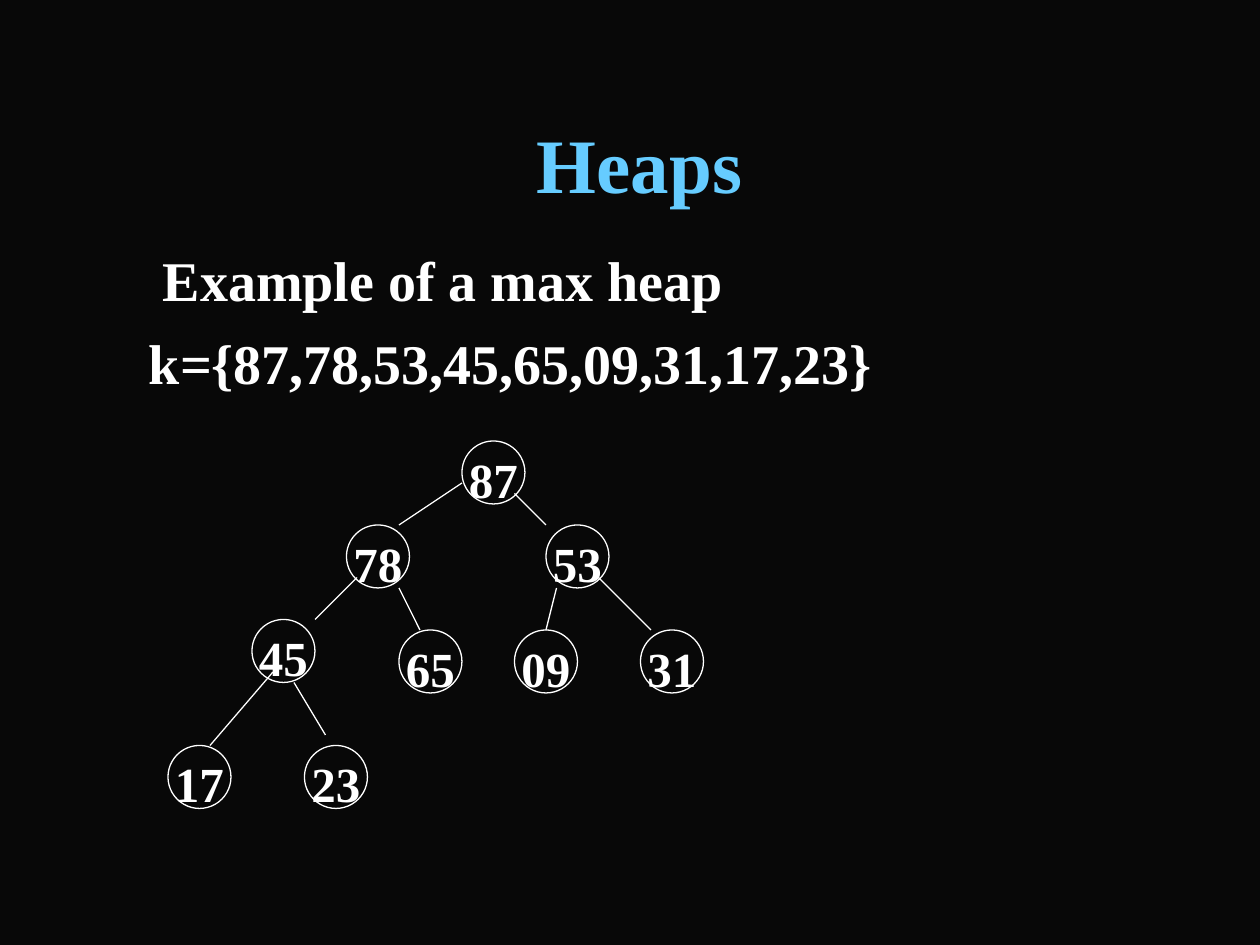
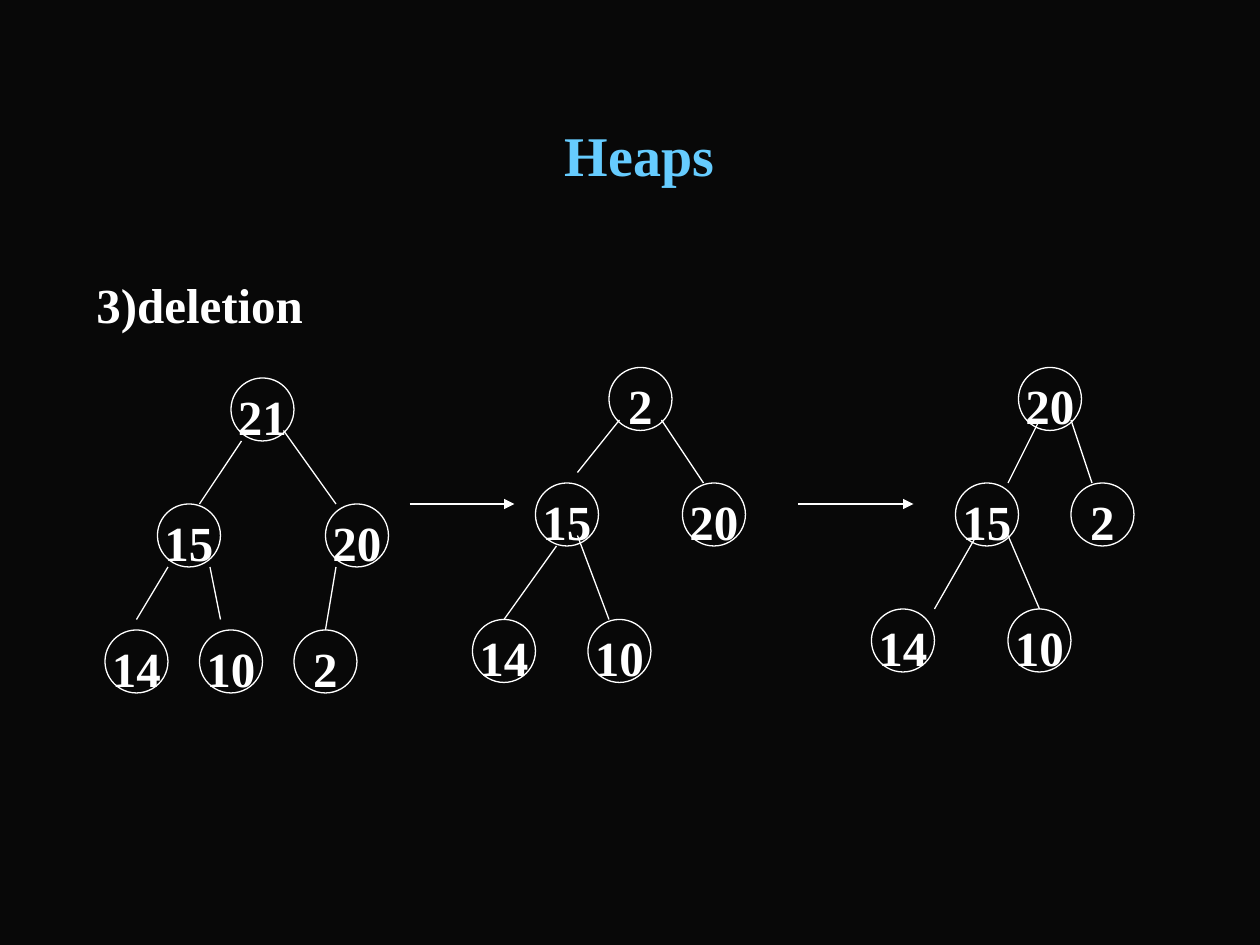
from dataclasses import dataclass

from lxml import etree
from pptx import Presentation
from pptx.dml.color import RGBColor
from pptx.enum import shapes, text
from pptx.oxml.ns import qn
from pptx.util import Pt

COLORS = {"background": "080808", "title": "66CCFF", "ink": "FFFFFF"}
FONT = "Times New Roman"
NODE_SIZE = 36
LINE_WIDTH = 0.75


@dataclass(frozen=True)
class Node:
    label: str
    x: float
    y: float


@dataclass(frozen=True)
class Edge:
    x1: float
    y1: float
    x2: float
    y2: float
    arrow: bool = False


@dataclass(frozen=True)
class Tree:
    nodes: list[Node]
    edges: list[Edge]


@dataclass(frozen=True)
class Line:
    text: str
    indent: float = 0


@dataclass(frozen=True)
class HeapSlide:
    title_height: float
    title_size: float
    body_box: tuple[float, float, float, float]
    body_size: float
    body_top: float
    lines: list[Line]
    trees: list[Tree]


MAX_HEAP = Tree(
    [Node("87", 264, 252), Node("78", 198, 300), Node("45", 144, 354),
     Node("65", 228, 360), Node("53", 312, 300), Node("09", 294, 360),
     Node("17", 96, 426), Node("31", 366, 360), Node("23", 174, 426)],
    [Edge(264, 276, 228, 300), Edge(294, 282, 312, 300),
     Edge(204, 330, 180, 354), Edge(156, 384, 120, 426),
     Edge(228, 336, 240, 360), Edge(168, 390, 186, 420),
     Edge(318, 336, 312, 360), Edge(342, 330, 372, 360)])

BEFORE_DELETION = Tree(
    [Node("21", 132, 216), Node("10", 114, 360), Node("20", 186, 288),
     Node("15", 90, 288), Node("2", 168, 360), Node("14", 60, 360)],
    [Edge(138, 252, 114, 288), Edge(96, 324, 78, 354),
     Edge(120, 324, 126, 354), Edge(162, 246, 192, 288),
     Edge(192, 324, 186, 360)])

LAST_MOVED_TO_ROOT = Tree(
    [Node("10", 336, 354), Node("14", 270, 354), Node("20", 390, 276),
     Node("15", 306, 276), Node("2", 348, 210)],
    [Edge(234, 288, 294, 288, arrow=True),
     Edge(354, 240, 330, 270), Edge(318, 312, 288, 354),
     Edge(330, 306, 348, 354), Edge(378, 240, 402, 276)])

HEAP_RESTORED = Tree(
    [Node("14", 498, 348), Node("10", 576, 348), Node("2", 612, 276),
     Node("15", 546, 276), Node("20", 582, 210)],
    [Edge(594, 240, 576, 276), Edge(558, 306, 534, 348),
     Edge(576, 306, 594, 348), Edge(612, 240, 624, 276),
     Edge(456, 288, 522, 288, arrow=True)])

SLIDES = [
    HeapSlide(90, 44, (54, 132, 612, 342), 32, 8,
              [Line("Example of a max heap", 32),
               Line("k={87,78,53,45,65,09,31,17,23}", 24)],
              [MAX_HEAP]),
    HeapSlide(70, 32, (48, 150, 612, 324), 28, 7,
              [Line("3)deletion")],
              [BEFORE_DELETION, LAST_MOVED_TO_ROOT, HEAP_RESTORED]),
]


def rgb(name: str) -> RGBColor:
    return RGBColor.from_string(COLORS[name])


def set_attrs(obj, values: dict) -> None:
    for name, value in values.items():
        setattr(obj, name, value)


def add_run(p, content: str, size: float, color: str = "ink", bold: bool = True) -> None:
    r = p.add_run()
    r.text = content
    set_attrs(r.font, {"name": FONT, "size": Pt(size), "bold": bold})
    r.font.color.rgb = rgb(color)


def add_title(s, spec_height: float, size: float) -> None:
    sp = s.shapes.title
    set_attrs(sp, {"left": Pt(54), "top": Pt(48),
                   "width": Pt(612), "height": Pt(spec_height)})
    tf = sp.text_frame
    set_attrs(tf, {"word_wrap": True, "auto_size": text.MSO_AUTO_SIZE.NONE,
                   "vertical_anchor": text.MSO_ANCHOR.MIDDLE})
    p = tf.paragraphs[0]
    p.alignment = text.PP_ALIGN.CENTER
    add_run(p, " ", 44, "title", bold=False)
    add_run(p, "Heaps", size, "title")


def add_body(s, item: HeapSlide) -> None:
    tf = s.shapes.add_textbox(*map(Pt, item.body_box)).text_frame
    set_attrs(tf, {"word_wrap": True, "margin_top": Pt(item.body_top)})
    for i, line in enumerate(item.lines):
        p = tf.add_paragraph() if i else tf.paragraphs[0]
        if i:
            p.space_before = Pt(9)
        p._p.get_or_add_pPr().set("marL", str(Pt(line.indent)))
        add_run(p, line.text, item.body_size)


def add_node(parent, node: Node):
    sp = parent.add_shape(shapes.MSO_SHAPE.OVAL, Pt(node.x), Pt(node.y),
                          Pt(NODE_SIZE), Pt(NODE_SIZE))
    sp.shadow.inherit = False
    sp.fill.background()
    sp.line.color.rgb = rgb("ink")
    sp.line.width = Pt(LINE_WIDTH)
    tf = sp.text_frame
    set_attrs(tf, {"word_wrap": False, "vertical_anchor": text.MSO_ANCHOR.MIDDLE,
                   "margin_left": 0, "margin_right": 0,
                   "margin_top": Pt(7), "margin_bottom": 0})
    p = tf.paragraphs[0]
    p.alignment = text.PP_ALIGN.CENTER
    add_run(p, node.label, 28)
    return sp


def add_edge(parent, edge: Edge, tops: dict) -> None:
    cx = parent.add_connector(shapes.MSO_CONNECTOR.STRAIGHT, Pt(edge.x1), Pt(edge.y1),
                              Pt(edge.x2), Pt(edge.y2))
    cx.line.color.rgb = rgb("ink")
    cx.line.width = Pt(LINE_WIDTH)
    if edge.arrow:
        etree.SubElement(cx.line._get_or_add_ln(), qn("a:tailEnd"), type="triangle")
    etree.SubElement(cx._element.spPr, qn("a:effectLst"))
    child = tops.get((edge.x2, edge.y2))
    if child is not None:
        cx.end_connect(child, 0)


def add_tree(s, tree: Tree) -> None:
    group = s.shapes.add_group_shape().shapes
    tops = {(n.x + NODE_SIZE / 2, n.y): add_node(group, n) for n in tree.nodes}
    for edge in tree.edges:
        add_edge(group, edge, tops)


def main() -> None:
    prs = Presentation()
    set_attrs(prs, {"slide_width": Pt(720), "slide_height": Pt(540)})
    fill = prs.slide_master.background.fill
    fill.solid()
    fill.fore_color.rgb = rgb("background")
    for item in SLIDES:
        s = prs.slides.add_slide(prs.slide_layouts[5])
        add_title(s, item.title_height, item.title_size)
        add_body(s, item)
        for tree in item.trees:
            add_tree(s, tree)
    prs.save("out.pptx")


if __name__ == "__main__":
    main()
